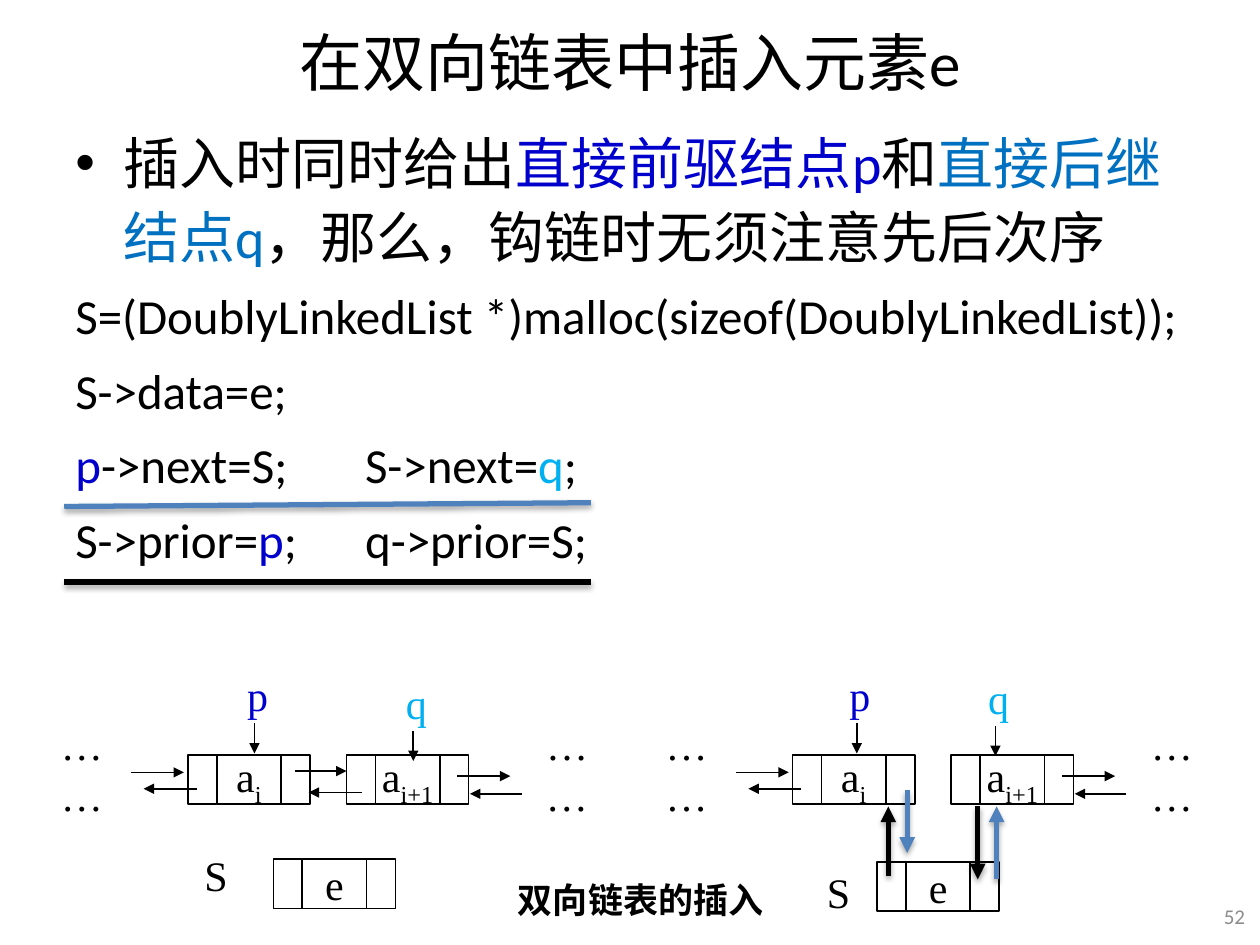
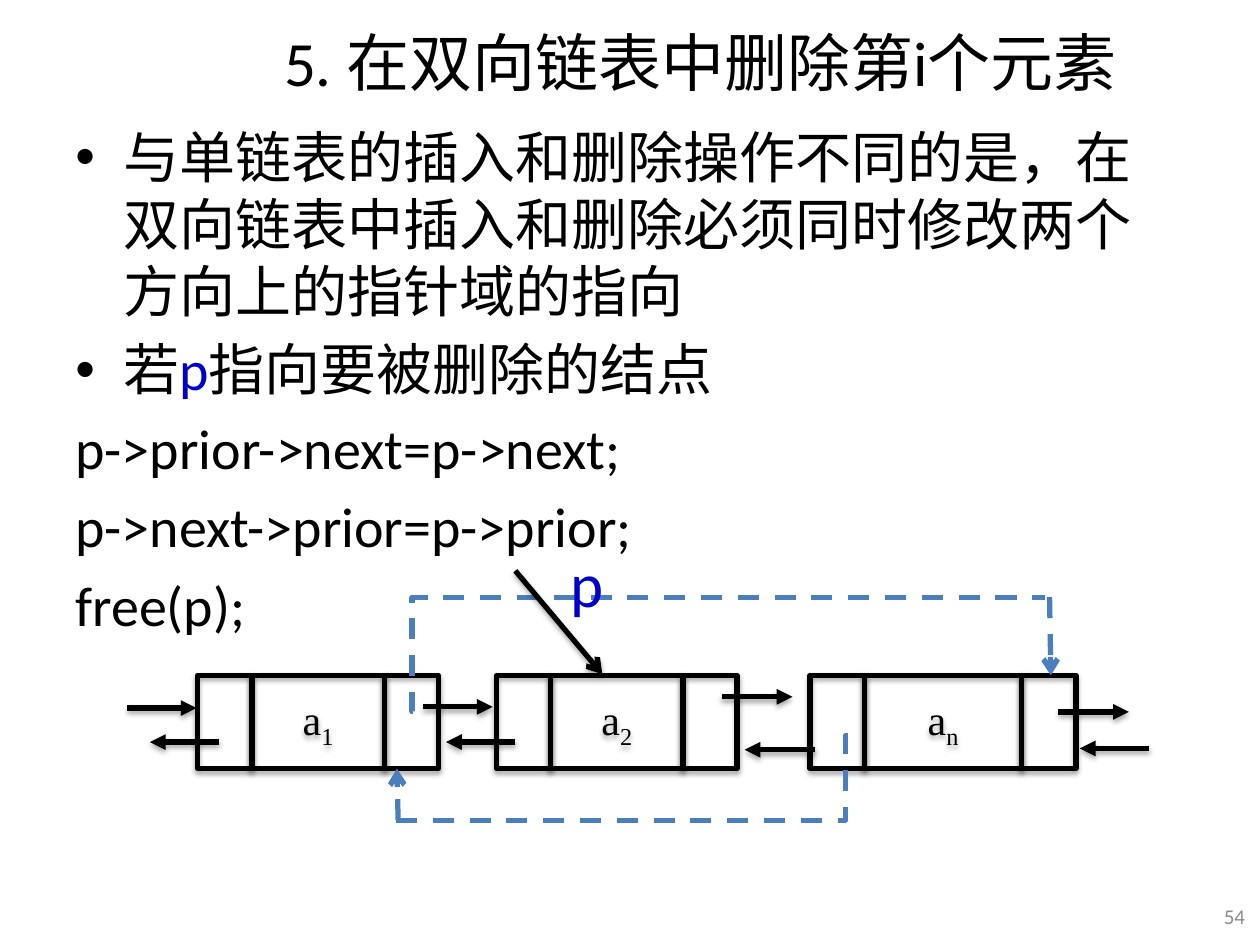
from lxml import etree
from pptx import Presentation
from pptx.dml.color import RGBColor
from pptx.enum.dml import MSO_LINE
from pptx.enum.shapes import MSO_CONNECTOR, MSO_SHAPE
from pptx.enum.text import MSO_ANCHOR, PP_ALIGN
from pptx.oxml.ns import qn
from pptx.util import Inches, Pt

STRAIGHT, ELBOW = MSO_CONNECTOR.STRAIGHT, MSO_CONNECTOR.ELBOW
RECTANGLE, DASH = MSO_SHAPE.RECTANGLE, MSO_LINE.DASH
TOP, MIDDLE = MSO_ANCHOR.TOP, MSO_ANCHOR.MIDDLE
LEFT, CENTER, RIGHT = PP_ALIGN.LEFT, PP_ALIGN.CENTER, PP_ALIGN.RIGHT

BLACK, GREY, STEEL, DASH_BLUE = "000000", "8C8C8C", "4F81BD", "4B7EBC"
P_BLUE, Q_BLUE, SUCCESSOR_BLUE = "0000CC", "00B0F0", "0070C0"
BODY_FONT, NODE_FONT, CJK_FONT = "Calibri", "Times New Roman", "Noto Sans CJK SC"
SUBSCRIPT = "-25000"

# ---- Content: a run is text or (text, colour[, baseline]) ----
INSERT_TITLE = "在双向链表中插入元素e"
INSERT_BODY = [  # bulleted, size, runs
    (True, 32, ["插入时同时给出", ("直接前驱结点p", P_BLUE), "和",
                ("直接后继结点q", SUCCESSOR_BLUE), "，那么，钩链时无须注意先后次序"]),
    (False, 28, ["S=(DoublyLinkedList *)malloc(sizeof(DoublyLinkedList));"]),
    (False, 28, ["S->data=e;"]),
    (False, 28, [("p", P_BLUE), "->next=S;\tS->next=", ("q", Q_BLUE), ";"]),
    (False, 28, ["S->prior=", ("p", P_BLUE), ";\tq->prior=S;"]),
]
INSERT_CAPTION = "双向链表的插入"
DELETE_TITLE = "5. 在双向链表中删除第i个元素"
DELETE_BODY = [
    (True, 32, ["与单链表的插入和删除操作不同的是，在双向链表中插入和删除必须"
                "同时修改两个方向上的指针域的指向"]),
    (True, 32, ["若", ("p", P_BLUE), "指向要被删除的结点"]),
    (False, 32, ["p->prior->next=p->next;"]),
    (False, 32, ["p->next->prior=p->prior;"]),
    (False, 32, ["free(p);"]),
]

# Insertion diagrams: before and after
LISTS = [
    {"x": 1.49, "p": (1.85, 5.32), "q": (3.11, 5.38), "S": (1.52, 6.79), "e": (2.17, 6.82)},
    {"x": 6.29, "p": (6.63, 5.32), "q": (7.73, 5.34), "S": (6.46, 6.92), "e": (6.96, 6.84)},
]
NODE_STEP, NODE_TOP = 1.26, 5.99
DOTS_OFFSETS = (-1.23, 2.62)
OUTER_LINKS = [(-0.45, -0.03, 6.13), (0.07, -0.35, 6.26),  # offsets from list x, then y
               (2.14, 2.56, 6.16), (2.65, 2.24, 6.3)]
OLD_LINKS = [(2.34, 2.75, 6.12), (2.87, 2.45, 6.29)]
NEW_LINKS = [(7.05, 6.95, 6.4, BLACK), (7.2, 6.27, 6.77, STEEL),
             (7.76, 6.4, 6.98, BLACK), (7.91, 6.98, 6.4, STEEL)]
CODE_RULES = [(4.02, 3.99, STEEL), (4.62, 4.62, BLACK)]

# Deletion diagram
DELETE_NODES = [("1", 1.57, 1.05), ("2", 3.94, 1.05), ("n", 6.43, 1.25)]
DELETE_LINKS = [(1.01, 1.56, 5.62), (3.36, 3.91, 5.61), (5.73, 6.29, 5.53), (8.4, 8.96, 5.65),
                (1.74, 1.19, 5.89), (4.09, 3.54, 5.89), (6.47, 5.91, 5.95), (9.12, 8.57, 5.94)]
BYPASSES = [  # elbow ends, bend position, then final arrow ends
    ((3.28, 5.65), (8.29, 4.74), -200, (8.33, 4.74), (8.34, 5.36)),
    ((6.73, 5.84), (3.13, 6.51), 600, (3.16, 6.51), (3.15, 6.1)),
]


# ---- Shared helpers ----
def rgb(colour):
    return RGBColor.from_string(colour)


def add_runs(paragraph, runs, size, font=BODY_FONT, bold=False):
    for item in runs:
        text, colour, *baseline = (item, BLACK) if isinstance(item, str) else item
        run = paragraph.add_run()
        run.text = text
        run.font.size = Pt(size)
        run.font.bold = bold
        run.font.color.rgb = rgb(colour)
        run.font.name = font
        properties = run.font._element
        etree.SubElement(properties, qn("a:ea"), typeface=CJK_FONT)
        if baseline:
            properties.set("baseline", baseline[0])


def prepare_frame(shape, anchor, wrap):
    frame = shape.text_frame
    frame.vertical_anchor = anchor
    frame.word_wrap = wrap
    return frame


def add_label(slide, box, runs, size, align=CENTER, anchor=MIDDLE, wrap=False,
              font=NODE_FONT, bold=False):
    label = slide.shapes.add_textbox(*map(Inches, box))
    paragraph = prepare_frame(label, anchor, wrap).paragraphs[0]
    paragraph.alignment = align
    add_runs(paragraph, runs, size, font, bold)


def set_shadow(shape, visible):
    effects = etree.SubElement(shape._element.spPr, qn("a:effectLst"))
    if visible:
        shadow = etree.SubElement(effects, qn("a:outerShdw"), blurRad=str(Pt(3.1)),
                                  dist=str(Pt(1.8)), dir="5400000", rotWithShape="0")
        black = etree.SubElement(shadow, qn("a:srgbClr"), val=BLACK)
        etree.SubElement(black, qn("a:alpha"), val="35000")


def add_line(slide, start, end, colour=BLACK, width=1, head="triangle", dashed=False,
             shadow=False, bend=None):
    kind = STRAIGHT if bend is None else ELBOW
    line = slide.shapes.add_connector(kind, *map(Inches, (*start, *end)))
    line.line.color.rgb = rgb(colour)
    line.line.width = Pt(width)
    if dashed:
        line.line.dash_style = DASH
    if head:
        etree.SubElement(line.line._get_or_add_ln(), qn("a:tailEnd"), type=head)
    if bend is not None:
        adjustments = line._element.spPr.find(qn("a:prstGeom")).get_or_add_avLst()
        etree.SubElement(adjustments, qn("a:gd"), name="adj1", fmla=f"val {bend}")
    set_shadow(line, shadow)


def add_node(slide, x, y, runs, link_width=0.23, data_width=0.51, height=0.39,
             line_width=1, shadow=False):
    """A prior cell, a data cell and a next cell, side by side."""
    for width, cell_runs in ((link_width, []), (data_width, runs), (link_width, [])):
        cell = slide.shapes.add_shape(RECTANGLE, *map(Inches, (x, y, width, height)))
        cell.fill.background()
        cell.line.color.rgb = rgb(BLACK)
        cell.line.width = Pt(line_width)
        set_shadow(cell, shadow)
        if cell_runs:
            paragraph = prepare_frame(cell, MIDDLE, False).paragraphs[0]
            paragraph.alignment = CENTER
            add_runs(paragraph, cell_runs, 24, NODE_FONT)
        x += width


def add_body(slide, height, paragraphs, line_spacing):
    body = slide.shapes.add_textbox(*map(Inches, (0.5, 0.92, 9, height)))
    frame = prepare_frame(body, TOP, True)
    for index, (bulleted, size, runs) in enumerate(paragraphs):
        paragraph = frame.add_paragraph() if index else frame.paragraphs[0]
        paragraph.line_spacing = line_spacing
        if index:
            paragraph.space_before = Pt(size * 0.2)
        properties = paragraph._p.get_or_add_pPr()
        if bulleted:
            properties.set("marL", str(Inches(0.38)))
            properties.set("indent", str(Inches(-0.38)))
            etree.SubElement(properties, qn("a:buFont"), typeface="Arial")
            etree.SubElement(properties, qn("a:buChar"), char="•")
        elif any("\t" in run for run in runs if isinstance(run, str)):
            tabs = etree.SubElement(properties, qn("a:tabLst"))
            etree.SubElement(tabs, qn("a:tab"), pos=str(Inches(2.3)), algn="l")
        add_runs(paragraph, runs, size)


def start_slide(deck, title, title_width, title_align, number):
    slide = deck.slides.add_slide(deck.slide_layouts[6])
    add_label(slide, (0.5, 0.05, title_width, 0.87), [title], 36, title_align,
              wrap=True, font=BODY_FONT)
    add_label(slide, (9.57, 7.06, 0.41, 0.42), [(number, GREY)], 12, RIGHT,
              wrap=True, font=BODY_FONT)
    return slide


# ---- Slides ----
def build_insertion(deck):
    slide = start_slide(deck, INSERT_TITLE, 9, CENTER, "52")
    add_body(slide, 4.61, INSERT_BODY, 1.1)
    for start_y, end_y, colour in CODE_RULES:
        add_line(slide, (0.51, start_y), (4.69, end_y), colour, 3, None, shadow=True)

    for chain in LISTS:
        x = chain["x"]
        for index, subscript in enumerate(("i", "i+1")):
            add_node(slide, x + index * NODE_STEP, NODE_TOP,
                     ["a", (subscript, BLACK, SUBSCRIPT)])
        add_node(slide, *chain["e"], ["e"])
        add_label(slide, (*chain["S"], 0.39, 0.31), ["S"], 24)
        for offset in DOTS_OFFSETS:
            add_label(slide, (x + offset, 5.91, 0.78, 0.39), ["……"], 24)
        for start, end, y in OUTER_LINKS:
            add_line(slide, (x + start, y), (x + end, y))
        for pointer, colour in (("p", P_BLUE), ("q", Q_BLUE)):
            left, top = chain[pointer]
            add_label(slide, (left, top, 0.39, 0.39), [(pointer, colour)], 24)
            add_line(slide, (left + 0.17, top + 0.42), (left + 0.17, top + 0.66))

    for start, end, y in OLD_LINKS:
        add_line(slide, (start, y), (end, y))
    for x, start, end, colour in NEW_LINKS:
        add_line(slide, (x, start), (x, end), colour, 3, shadow=True)
    add_label(slide, (3.51, 6.98, 3.15, 0.31), [INSERT_CAPTION], 20, wrap=True,
              font=CJK_FONT, bold=True)


def build_deletion(deck):
    slide = start_slide(deck, DELETE_TITLE, 8.46, RIGHT, "54")
    add_body(slide, 6.51, DELETE_BODY, 1.0)
    for subscript, x, data_width in DELETE_NODES:
        add_node(slide, x, 5.36, ["a", (subscript, BLACK, SUBSCRIPT)],
                 0.43, data_width, 0.74, 3, True)
    for start, end, y in DELETE_LINKS:
        add_line(slide, (start, y), (end, y), width=3, shadow=True)
    for start, end, bend, arrow_start, arrow_end in BYPASSES:
        add_line(slide, start, end, DASH_BLUE, 3, None, True, bend=bend)
        add_line(slide, arrow_start, arrow_end, DASH_BLUE, 3, "arrow", True)
    add_line(slide, (4.09, 4.53), (4.78, 5.35), width=3, head="arrow", shadow=True)
    add_label(slide, (4.43, 4.27, 0.47, 0.71), [("p", P_BLUE)], 36, LEFT, TOP,
              font=BODY_FONT)


def main():
    deck = Presentation()
    deck.slide_width, deck.slide_height = Inches(10), Inches(7.5)
    build_insertion(deck)
    build_deletion(deck)
    deck.save("out.pptx")


if __name__ == "__main__":
    main()
